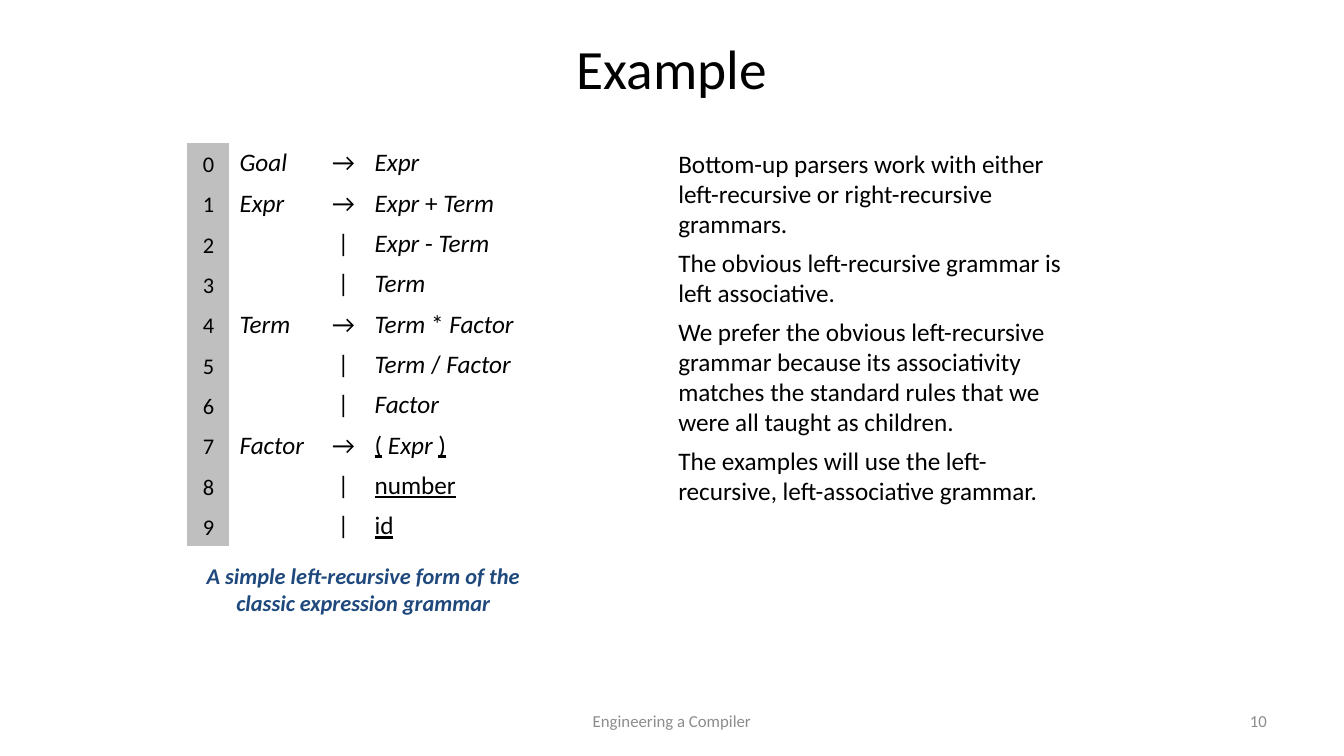
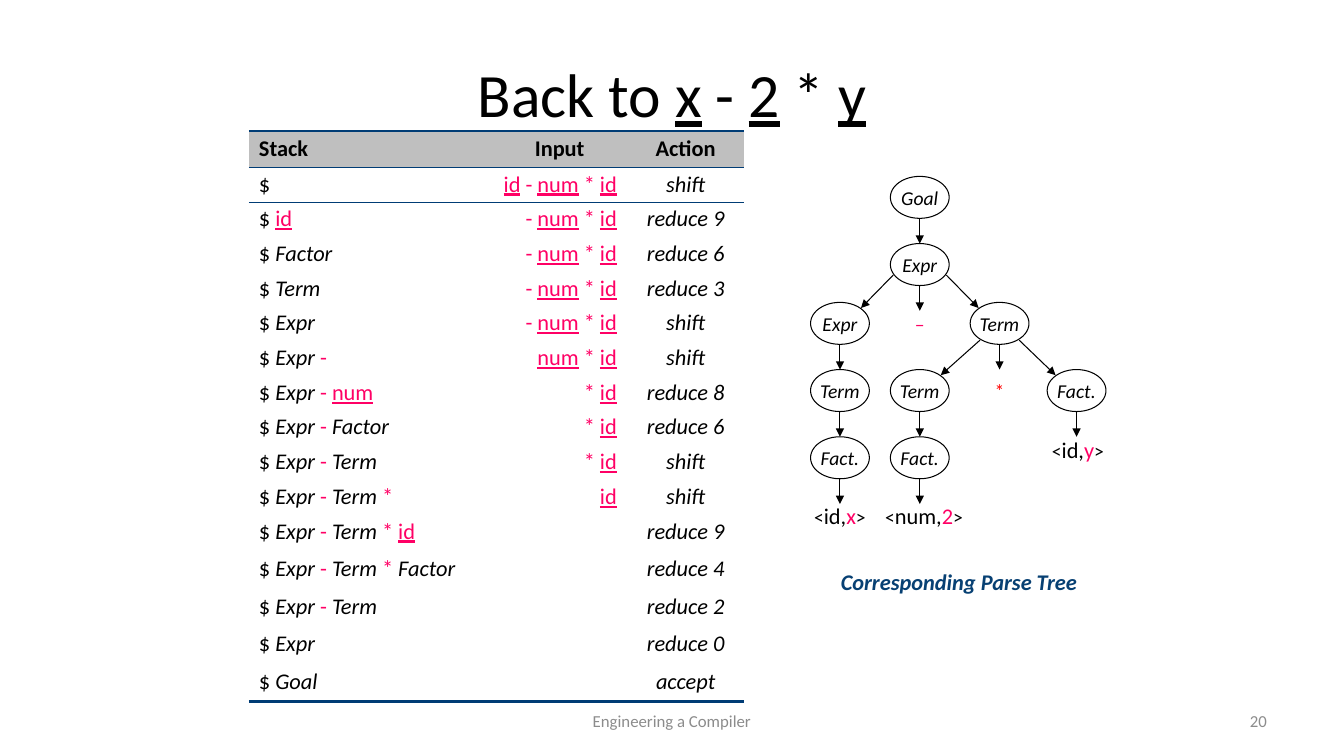
"""Build two compiler slides: an expression grammar and a shift-reduce parse."""
import dataclasses
import lxml.etree
import pptx
import pptx.dml.color
import pptx.enum.shapes
import pptx.enum.text
import pptx.oxml.ns
import pptx.util

Pt = pptx.util.Pt
qn = pptx.oxml.ns.qn
RGB = pptx.dml.color.RGBColor.from_string
ALIGN = pptx.enum.text.PP_ALIGN
ANCHOR = pptx.enum.text.MSO_ANCHOR
SHAPE = pptx.enum.shapes.MSO_SHAPE


@dataclasses.dataclass(frozen=True)
class Theme:
    font: str = "Calibri"
    ink: str = "000000"
    paper: str = "FFFFFF"
    gray: str = "BFBFBF"
    mute: str = "8C8C8C"
    pink: str = "FF0065"
    red: str = "FF0000"
    blue: str = "1F497D"
    navy: str = "074073"
    rule: str = "003C75"
    head: float = 44
    body: float = 18
    cell: float = 16
    node: float = 14
    foot: float = 12
    thin: float = 0.75


LOOK = Theme()
TOKENS = {"id", "num", "number", "(", ")"}
SIGNS = {"+", "-", "*", "/", "→", "|", "$"}

RULES = [
    ("Goal", "→", "Expr"),
    ("Expr", "→", "Expr + Term"),
    ("", "|", "Expr - Term"),
    ("", "|", "Term"),
    ("Term", "→", "Term * Factor"),
    ("", "|", "Term / Factor"),
    ("", "|", "Factor"),
    ("Factor", "→", "( Expr )"),
    ("", "|", "number"),
    ("", "|", "id"),
]
NOTES = [
    "Bottom-up parsers work with either left-recursive or right-recursive grammars.",
    "The obvious left-recursive grammar is left associative.",
    "We prefer the obvious left-recursive grammar because its associativity "
    "matches the standard rules that we were all taught as children.",
    "The examples will use the left-recursive, left-associative grammar.",
]
STEPS = [
    ("$", "id - num * id", "shift"),
    ("$ id", "- num * id", "reduce 9"),
    ("$ Factor", "- num * id", "reduce 6"),
    ("$ Term", "- num * id", "reduce 3"),
    ("$ Expr", "- num * id", "shift"),
    ("$ Expr -", "num * id", "shift"),
    ("$ Expr - num", "* id", "reduce 8"),
    ("$ Expr - Factor", "* id", "reduce 6"),
    ("$ Expr - Term", "* id", "shift"),
    ("$ Expr - Term *", "id", "shift"),
    ("$ Expr - Term * id", "", "reduce 9"),
    ("$ Expr - Term * Factor", "", "reduce 4"),
    ("$ Expr - Term", "", "reduce 2"),
    ("$ Expr", "", "reduce 0"),
    ("$ Goal", "", "accept"),
]
RINGS = [
    ("Goal", 78, 15), ("Expr", 78, 63), ("Expr", 21, 105), ("Term", 135, 105),
    ("Term", 21, 153), ("Term", 78, 153), ("Fact.", 190, 153),
    ("Fact.", 21, 201), ("Fact.", 78, 201),
]
LEAVES = [("id,", "x", 21, 242), ("num,", "2", 81, 242), ("id,", "y", 191, 195)]
FORKS = [
    ((78, 63), (21, 105), (19, 7.5)), ((78, 63), (135, 105), (19, 7.5)),
    ((135, 105), (78, 153), (14, 12)), ((135, 105), (190, 153), (14, 12)),
]


def write(para, runs, size, color=LOOK.ink, align=ALIGN.LEFT):
    """Add runs given as (text, marks, optional color, optional size)."""
    para.alignment = align
    for text, marks, *more in runs:
        run = para.add_run()
        run.text = text
        font = run.font
        font.name = LOOK.font
        font.size = Pt(more[1] if len(more) > 1 else size)
        font.color.rgb = RGB(more[0] if more else color)
        font.bold = "b" in marks
        font.italic = "i" in marks
        font.underline = "u" in marks
    if not runs:
        lxml.etree.SubElement(para._p, qn("a:endParaRPr"), sz=str(int(size * 100)))


def parse(text, tint=LOOK.ink):
    """Turn grammar symbols into styled runs."""
    runs = []
    for word in text.split():
        if runs:
            runs.append((" ", ""))
        if word in TOKENS:
            runs.append((word, "u", tint))
        elif word in SIGNS:
            runs.append((word, "", LOOK.ink if word == "$" else tint))
        else:
            runs.append((word, "i"))
    return runs


def label(slide, box, paras, size, color=LOOK.ink, align=ALIGN.LEFT,
          anchor=ANCHOR.TOP, gap=0):
    """Place a wrapped text box holding a list of paragraphs."""
    frame = slide.shapes.add_textbox(*map(Pt, box)).text_frame
    frame.word_wrap = True
    frame.vertical_anchor = anchor
    for at, runs in enumerate(paras):
        para = frame.add_paragraph() if at else frame.paragraphs[0]
        para.space_before = Pt(gap if at else 0)
        write(para, runs, size, color, align)


def frame(deck, title, box, size, page):
    """Add a slide with its title and footer."""
    slide = deck.slides.add_slide(deck.slide_layouts[6])
    label(slide, box, [title], size, align=ALIGN.CENTER, anchor=ANCHOR.MIDDLE)
    for left, wide, text, align in (
            (328, 304, "Engineering a Compiler", ALIGN.CENTER),
            (688, 224, page, ALIGN.RIGHT)):
        label(slide, (left, 500.5, wide, 28.8), [[(text, "")]], LOOK.foot,
              LOOK.mute, align, ANCHOR.MIDDLE)
    return slide


def note(slide, box, text, color):
    """Place a bold italic caption."""
    label(slide, box, [[(text, "bi")]], LOOK.cell, color, ALIGN.CENTER)


def grid(slide, left, top, cols, rows):
    """Add a plain table with the given column widths and row heights."""
    table = slide.shapes.add_table(len(rows), len(cols), Pt(left), Pt(top),
                                   Pt(sum(cols)), Pt(sum(rows))).table
    table.first_row = table.horz_banding = False
    style = table._tbl.tblPr.find(qn("a:tableStyleId"))
    style.text = "{2D5ABB26-0587-4C30-8999-92F81FD0307C}"
    for col, wide in zip(table.columns, cols):
        col.width = Pt(wide)
    for row, high in zip(table.rows, rows):
        row.height = Pt(high)
    return table


def paint(cell, color):
    """Fill a cell with one color."""
    cell.fill.solid()
    cell.fill.fore_color.rgb = RGB(color)


def edge(cell, side, width):
    """Draw one border of a cell."""
    line = lxml.etree.SubElement(cell._tc.get_or_add_tcPr(), qn("a:ln" + side),
                                 w=str(Pt(width)))
    fill = lxml.etree.SubElement(line, qn("a:solidFill"))
    lxml.etree.SubElement(fill, qn("a:srgbClr"), val=LOOK.rule)


def grammar(slide, left, top):
    """Place the numbered grammar rules."""
    table = grid(slide, left, top, (30, 66.5, 30, 137.5), [28.8] * len(RULES))
    for at, rule in enumerate(RULES):
        runs = [[(str(at), "")]] + [parse(part) for part in rule]
        for col, part in enumerate(runs):
            cell = table.cell(at, col)
            cell.margin_top = cell.margin_bottom = Pt(3.4)
            if col in (0, 2):
                cell.margin_left = cell.margin_right = 0
            if col == 0:
                cell.vertical_anchor = ANCHOR.BOTTOM
                paint(cell, LOOK.gray)
            else:
                cell.fill.background()
            write(cell.text_frame.paragraphs[0], part,
                  LOOK.body if col else LOOK.cell,
                  align=ALIGN.LEFT if col % 2 else ALIGN.CENTER)


def trace(slide, left, top):
    """Place the table of parser steps."""
    highs = [26] + [24.8 if step[1] else 26.8 for step in STEPS]
    table = grid(slide, left, top, (174, 96, 84), highs)
    heads = [[(name, "b")] for name in ("Stack", "Input", "Action")]
    lines = [heads] + [
        [parse(stack, LOOK.pink), parse(rest, LOOK.pink), [(act, "i")]]
        for stack, rest, act in STEPS]
    for at, line in enumerate(lines):
        for col, runs in enumerate(line):
            cell = table.cell(at, col)
            if at == 0:
                edge(cell, "T", 2.25)
                edge(cell, "B", 1)
            elif at == 1:
                edge(cell, "T", 1)
            elif at == len(STEPS):
                edge(cell, "B", 2.25)
            paint(cell, LOOK.paper if at else LOOK.gray)
            para = cell.text_frame.paragraphs[0]
            if runs:
                para.line_spacing = 0.9 if at else 0.95
            side = ALIGN.RIGHT if at and col == 1 else ALIGN.CENTER
            write(para, runs, LOOK.cell, align=side if col else ALIGN.LEFT)


def node(slide, x, y, runs, ring=False):
    """Place a tree node centred on a point."""
    oval = slide.shapes.add_shape(SHAPE.OVAL, Pt(x - 21), Pt(y - 15), Pt(42), Pt(30))
    oval.shadow.inherit = False
    oval.fill.background()
    if ring:
        oval.line.color.rgb = RGB(LOOK.ink)
        oval.line.width = Pt(LOOK.thin)
    else:
        oval.line.fill.background()
    oval.text_frame.word_wrap = False
    oval.text_frame.vertical_anchor = ANCHOR.MIDDLE
    write(oval.text_frame.paragraphs[0], runs, LOOK.node, align=ALIGN.CENTER)


def arrow(slide, *ends):
    """Draw a thin arrow from one point to another."""
    line = slide.shapes.add_connector(
        pptx.enum.shapes.MSO_CONNECTOR.STRAIGHT, *map(Pt, ends))
    line.line.color.rgb = RGB(LOOK.ink)
    line.line.width = Pt(LOOK.thin)
    lxml.etree.SubElement(line.line._get_or_add_ln(), qn("a:tailEnd"), type="triangle")
    lxml.etree.SubElement(line._element.spPr, qn("a:effectLst"))


def tree(slide, left, top):
    """Place the parse tree."""
    for text, x, y in RINGS:
        node(slide, left + x, top + y, [(text, "i")], True)
        arrow(slide, left + x, top + y + 15, left + x, top + y + 33)
    for kind, value, x, y in LEAVES:
        node(slide, left + x, top + y, [
            ("<", ""), (kind, "", LOOK.ink, LOOK.cell),
            (value, "", LOOK.pink, LOOK.cell), (">", "")])
    node(slide, left + 78, top + 105, [("–", "", LOOK.pink)])
    node(slide, left + 135, top + 153, [("*", "", LOOK.red)])
    for (px, py), (cx, cy), (dx, dy) in FORKS:
        way = 1 if cx > px else -1
        arrow(slide, left + px + way * dx, top + py + dy,
              left + cx - way * 15, top + cy - 11)


def main():
    """Build and save the deck."""
    deck = pptx.Presentation()
    deck.slide_width, deck.slide_height = Pt(960), Pt(540)

    first = frame(deck, [("Example", "")], (48, 21.6, 864, 52.6), 39.6, "10")
    grammar(first, 133.9, 102.2)
    note(first, (127.5, 398, 264, 46),
         "A simple left-recursive form of the classic expression grammar", LOOK.blue)
    label(first, (477.4, 102.2, 290, 266), [[(text, "")] for text in NOTES],
          LOOK.body, gap=6)

    title = [("Back to ", ""), ("x", "u"), (" - ", ""), ("2", "u"),
             (" * ", ""), ("y", "u")]
    second = frame(deck, title, (48, 21.6, 864, 90), LOOK.head, "20")
    trace(second, 177.8, 93.6)
    tree(second, 579, 126)
    note(second, (580, 402, 210, 26.6), "Corresponding Parse Tree", LOOK.navy)
    deck.save("out.pptx")


if __name__ == "__main__":
    main()
